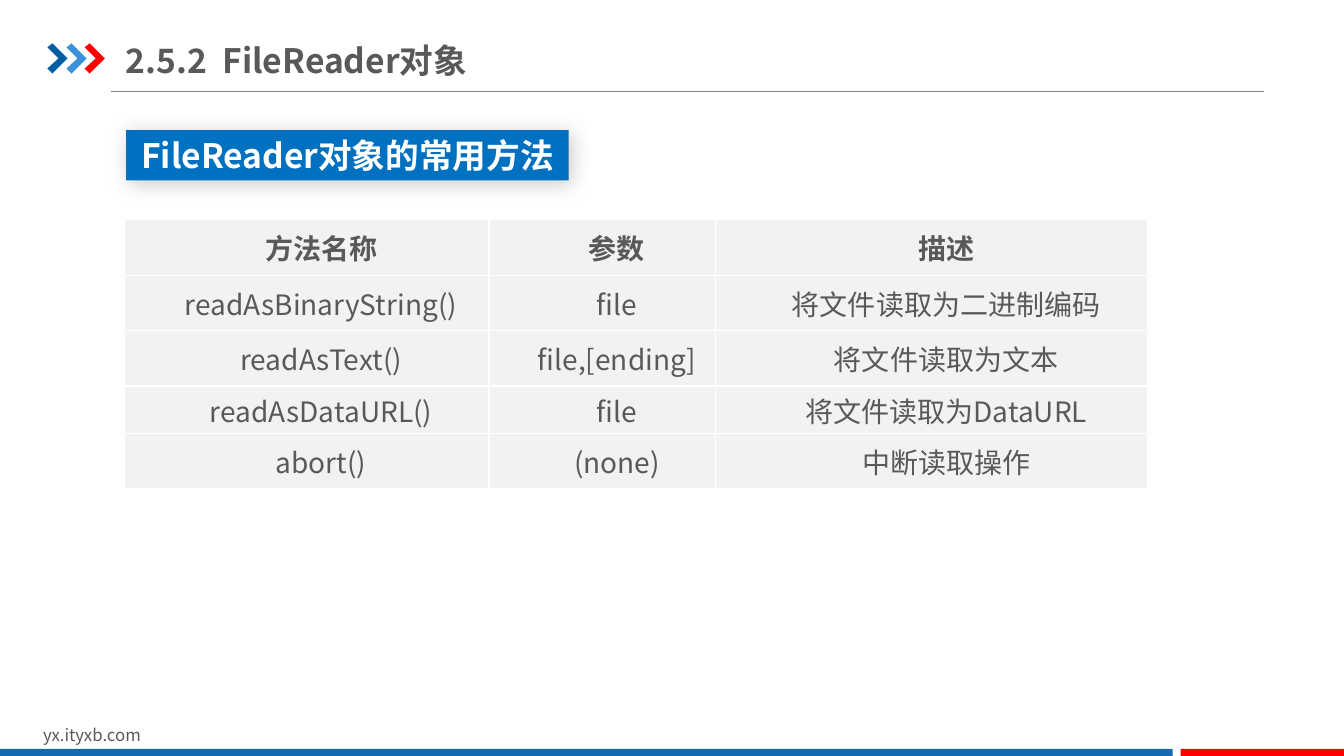
"""Build the slide listing the common FileReader methods."""
from dataclasses import dataclass

from lxml import etree
from pptx import Presentation
from pptx import util as u
from pptx.dml.color import RGBColor
from pptx.enum import shapes, text
from pptx.oxml import ns

PX = 9144
FONT = "Noto Sans CJK SC"
COLORS = {
    "white": "FFFFFF",
    "text": "595959",
    "rule": "808080",
    "cell": "F2F2F2",
    "navy": "005DA2",
    "sky": "3992DB",
    "red": "FF0000",
    "footer": "1369B2",
    "banner": "0070C0",
    "shadow": "000000",
}
CHEVRON = ((0, 4), (5, 0), (20, 15), (5, 30), (0, 25), (11, 15))
COLUMNS = (362, 225, 428)
ROWS = (55, 55, 55, 47, 55)
METHODS = (
    ("方法名称", "参数", "描述"),
    ("readAsBinaryString()", "file", "将文件读取为二进制编码"),
    ("readAsText()", "file,[ending]", "将文件读取为文本"),
    ("readAsDataURL()", "file", "将文件读取为DataURL"),
    ("abort()", "(none)", "中断读取操作"),
)


@dataclass(frozen=True)
class Box:
    left: int
    top: int
    width: int
    height: int

    def emu(self) -> list[int]:
        return [n * PX for n in (self.left, self.top, self.width, self.height)]


@dataclass(frozen=True)
class Chevron:
    left: int
    color: str


@dataclass(frozen=True)
class Bar:
    box: Box
    color: str


@dataclass(frozen=True)
class Label:
    box: Box
    words: str
    size: int
    bold: bool
    anchor: text.MSO_ANCHOR
    insets: tuple[int, int]


CHEVRONS = (Chevron(47, "navy"), Chevron(66, "sky"), Chevron(84, "red"))
BARS = (
    Bar(Box(0, 743, 1163, 9), "footer"),
    Bar(Box(1171, 743, 163, 9), "red"),
)
BANNER = Bar(Box(125, 129, 439, 50), "banner")
LABELS = (
    Label(Box(33, 714, 318, 30), "yx.ityxb.com", 12, False, text.MSO_ANCHOR.TOP, (10, 5)),
    Label(Box(125, 36, 526, 48), "2.5.2  FileReader对象", 24, True, text.MSO_ANCHOR.MIDDLE, (0, 7)),
)


def rgb(name: str) -> RGBColor:
    return RGBColor.from_string(COLORS[name])


def write(paragraph, words: str, size: int, color: str, bold: bool) -> None:
    run = paragraph.add_run()
    run.text = words
    run.font.size = u.Pt(size)
    run.font.bold = bold
    run.font.color.rgb = rgb(color)
    run.font.name = FONT
    etree.SubElement(run.font._element, ns.qn("a:ea"), typeface=FONT)


def paint(shape, color: str) -> None:
    shape.shadow.inherit = False
    shape.fill.solid()
    shape.fill.fore_color.rgb = rgb(color)
    shape.line.fill.background()


def draw_rule(slide) -> None:
    rule = slide.shapes.add_connector(
        shapes.MSO_CONNECTOR.STRAIGHT, 110 * PX, 91 * PX, 1254 * PX, 91 * PX)
    rule.line.color.rgb = rgb("rule")
    rule.line.width = u.Pt(0.75)
    etree.SubElement(rule._element.spPr, ns.qn("a:effectLst"))


def draw_chevron(slide, chevron: Chevron) -> None:
    points = [(chevron.left + x, 43 + y) for x, y in CHEVRON]
    builder = slide.shapes.build_freeform(*points[0], scale=PX)
    builder.add_line_segments(points[1:], close=True)
    paint(builder.convert_to_shape(), chevron.color)


def draw_bar(slide, bar: Bar):
    shape = slide.shapes.add_shape(shapes.MSO_SHAPE.RECTANGLE, *bar.box.emu())
    paint(shape, bar.color)
    return shape


def draw_banner(slide) -> None:
    shape = draw_bar(slide, BANNER)
    effects = shape._element.spPr.find(ns.qn("a:effectLst"))
    shadow = etree.SubElement(
        effects, ns.qn("a:outerShdw"), blurRad=str(u.Pt(15)), dist=str(u.Pt(3)),
        dir=str(45 * 60000), algn="tl", rotWithShape="0")
    color = etree.SubElement(shadow, ns.qn("a:srgbClr"), val=COLORS["shadow"])
    etree.SubElement(color, ns.qn("a:alpha"), val="20000")
    frame = shape.text_frame
    frame.word_wrap = True
    frame.vertical_anchor = text.MSO_ANCHOR.MIDDLE
    frame.paragraphs[0].alignment = text.PP_ALIGN.CENTER
    write(frame.paragraphs[0], "FileReader对象的常用方法", 24, "white", True)


def draw_label(slide, label: Label) -> None:
    frame = slide.shapes.add_textbox(*label.box.emu()).text_frame
    frame.word_wrap = True
    frame.vertical_anchor = label.anchor
    side, edge = label.insets
    frame.margin_left = frame.margin_right = side * PX
    frame.margin_top = frame.margin_bottom = edge * PX
    write(frame.paragraphs[0], label.words, label.size, "text", label.bold)


def fill_cell(cell, words: str, bold: bool) -> None:
    cell.margin_left = cell.margin_right = 7 * PX
    cell.margin_top = cell.margin_bottom = 0
    cell.vertical_anchor = text.MSO_ANCHOR.MIDDLE
    properties = cell._tc.get_or_add_tcPr()
    for side in ("lnL", "lnR", "lnT", "lnB"):
        border = etree.SubElement(properties, ns.qn(f"a:{side}"), w=str(u.Pt(1)))
        solid = etree.SubElement(border, ns.qn("a:solidFill"))
        etree.SubElement(solid, ns.qn("a:srgbClr"), val=COLORS["white"])
    cell.fill.solid()
    cell.fill.fore_color.rgb = rgb("cell")
    paragraph = cell.text_frame.paragraphs[0]
    paragraph.alignment = text.PP_ALIGN.CENTER
    paragraph._p.get_or_add_pPr().set("indent", str(29 * PX))
    write(paragraph, words, 20, "text", bold)


def draw_table(slide) -> None:
    box = Box(123, 218, sum(COLUMNS), sum(ROWS))
    table = slide.shapes.add_table(len(ROWS), len(COLUMNS), *box.emu()).table
    for column, width in zip(table.columns, COLUMNS):
        column.width = width * PX
    for index, (row, height) in enumerate(zip(table.rows, ROWS)):
        row.height = height * PX
        for cell, words in zip(row.cells, METHODS[index]):
            fill_cell(cell, words, bold=index == 0)


def main() -> None:
    presentation = Presentation()
    presentation.slide_width = u.Inches(13.33)
    presentation.slide_height = u.Inches(7.5)
    slide = presentation.slides.add_slide(presentation.slide_layouts[6])
    draw_rule(slide)
    for chevron in CHEVRONS:
        draw_chevron(slide, chevron)
    for bar in BARS:
        draw_bar(slide, bar)
    draw_banner(slide)
    draw_table(slide)
    for label in LABELS:
        draw_label(slide, label)
    presentation.save("out.pptx")


if __name__ == "__main__":
    main()
